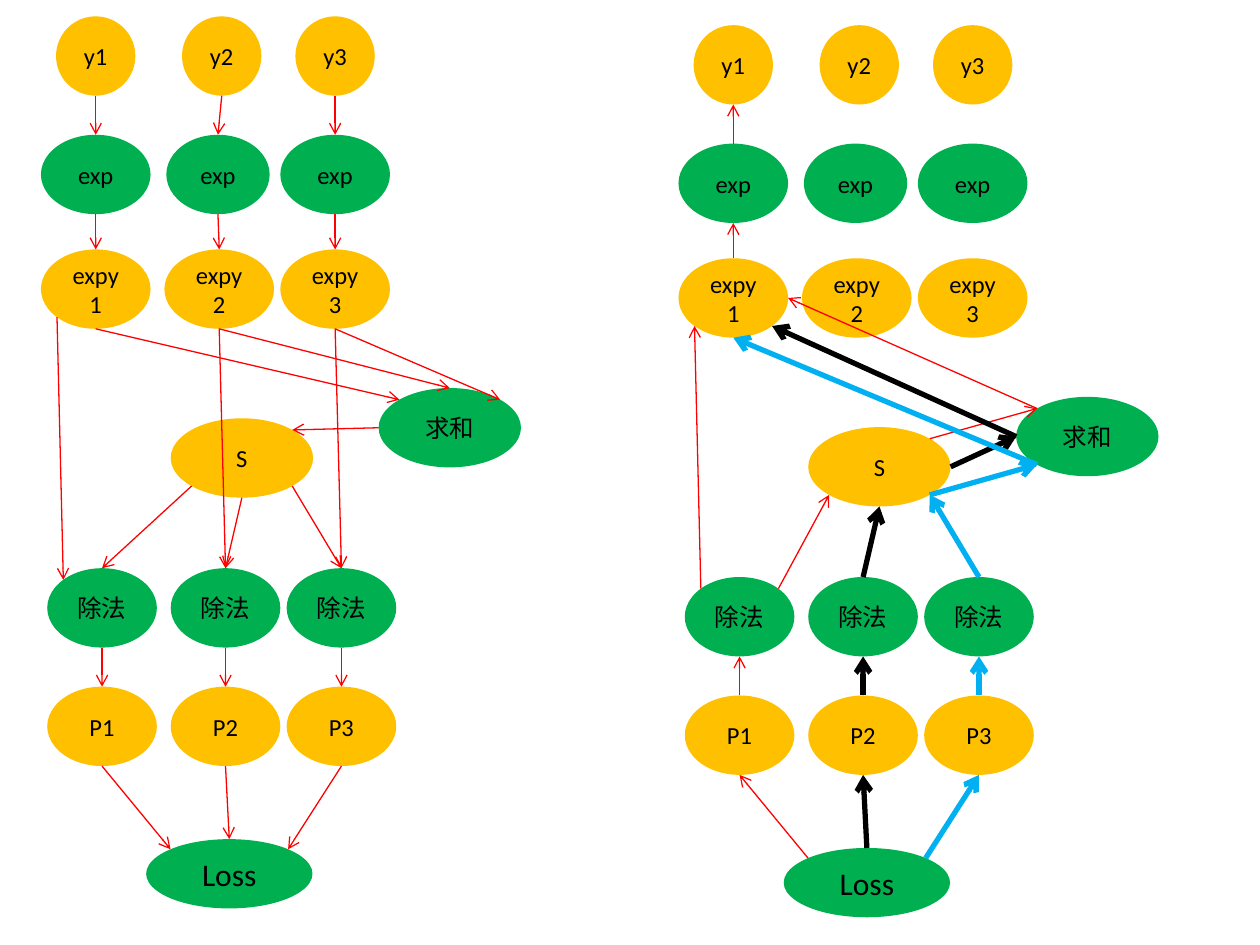
from lxml.etree import SubElement
from pptx import Presentation
from pptx.dml.color import RGBColor
from pptx.enum.shapes import MSO_CONNECTOR as LINE, MSO_SHAPE as SHAPE
from pptx.enum.text import MSO_ANCHOR as ANCHOR, PP_ALIGN as ALIGN
from pptx.oxml.ns import qn
from pptx.util import Inches, Pt

GREEN = RGBColor(0x00, 0xB0, 0x50)
AMBER = RGBColor(0xFF, 0xC0, 0x00)
RED = RGBColor(0xFF, 0x00, 0x00)
BLUE = RGBColor(0x00, 0xB0, 0xF0)
BLACK = RGBColor(0x00, 0x00, 0x00)

# Columns are node centres; rows are the tops of the node rows
COLUMNS = [0.76, 1.74, 2.66]
LOWER_SHIFT = 0.05
NODE_W, NODE_H = 0.87, 0.63
# key, label, row top, column shift, width, fill
ROWS = [
    ("y", "y{}", 0.13, 0, NODE_H, AMBER),
    ("exp", "exp", 1.07, 0, NODE_W, GREEN),
    ("expy", "expy{}", 1.98, 0, NODE_W, AMBER),
    ("div", "除法", 4.51, LOWER_SHIFT, NODE_W, GREEN),
    ("P", "P{}", 5.45, LOWER_SHIFT, NODE_W, AMBER),
]
# key, label, centre x, top, width, height, fill, text size
SINGLES = [
    ("sum", "求和", 3.57, 3.08, 1.13, NODE_H, GREEN, 14),
    ("S", "S", 1.92, 3.32, 1.13, NODE_H, AMBER, 14),
    ("Loss", "Loss", 1.82, 6.66, 1.32, 0.55, GREEN, 18),
]
# Second column sits slightly off centre in the two upper rows
NUDGES = {"y2": 0.02, "exp2": -0.01}
WIDTHS = {"exp2": 0.82}

# Each edge reads: from node, side, to node, side
FORWARD = [f"{a}{i} B {b}{i} T" for i in (1, 2, 3)
           for a, b in (("y", "exp"), ("exp", "expy"), ("div", "P"))]
FORWARD += [
    "expy1 B sum TL", "expy2 B sum T", "expy3 B sum TR", "sum L S TR",
    "S BL div1 T", "S B div2 T", "S BR div3 T",
    "expy1 BL div1 TL", "expy2 B div2 T", "expy3 B div3 T",
    "P1 B Loss TL", "P2 B Loss T", "P3 B Loss TR",
]
RED_BACK = ["Loss TL P1 B", "P1 T div1 B", "div1 TL expy1 BL", "div1 TR S BL",
            "S TR sum TL", "sum TL expy1 R", "expy1 T exp1 B", "exp1 T y1 B"]
BLACK_BACK = ["Loss T P2 B", "P2 T div2 B", "div2 T S B", "S R sum L",
              "sum L expy1 BR"]
BLUE_BACK = ["Loss TR P3 B", "P3 T div3 B", "div3 T S BR", "S BR sum BL",
             "sum BL expy1 B"]

# Panel offset, then its edge groups with colour and width
PANELS = [
    (0, 0, [(FORWARD, RED, 0.75)]),
    (5.06, 0.07, [(RED_BACK, RED, 0.75), (BLACK_BACK, BLACK, 3),
                  (BLUE_BACK, BLUE, 3)]),
]

prs = Presentation()
prs.slide_width, prs.slide_height = Inches(10), Inches(7.5)
slide = prs.slides.add_slide(prs.slide_layouts[6])


def add_node(label, centre, top, width, height, fill, size):
    node = slide.shapes.add_shape(
        SHAPE.OVAL, Inches(centre - width / 2), Inches(top),
        Inches(width), Inches(height))
    node.shadow.inherit = False
    node.fill.solid()
    node.fill.fore_color.rgb = fill
    node.line.fill.background()
    frame = node.text_frame
    frame.word_wrap = True
    frame.vertical_anchor = ANCHOR.MIDDLE
    text = frame.paragraphs[0]
    text.text = label
    text.alignment = ALIGN.CENTER
    text.font.name, text.font.size = "Calibri", Pt(size)
    text.font.color.rgb = BLACK
    return node


def rim_point(node, side):
    """Point on the oval's rim, such as T (top) or BL (bottom left)."""
    reach = 0.5 if len(side) == 1 else 0.5 * 0.5 ** 0.5
    across = ("R" in side) - ("L" in side)
    down = ("B" in side) - ("T" in side)
    return (int(node.left + node.width * (0.5 + across * reach)),
            int(node.top + node.height * (0.5 + down * reach)))


for dx, dy, edge_groups in PANELS:
    # Nodes
    nodes = {}
    for key, label, top, shift, width, fill in ROWS:
        for i, column in enumerate(COLUMNS, 1):
            name = f"{key}{i}"
            nodes[name] = add_node(
                label.format(i), dx + column + shift + NUDGES.get(name, 0),
                dy + top, WIDTHS.get(name, width), NODE_H, fill, 14)
    for key, label, centre, top, width, height, fill, size in SINGLES:
        nodes[key] = add_node(label, dx + centre, dy + top, width, height,
                              fill, size)

    # Arrows
    for edges, color, weight in edge_groups:
        for edge in edges:
            start, start_side, end, end_side = edge.split()
            arrow = slide.shapes.add_connector(
                LINE.STRAIGHT, *rim_point(nodes[start], start_side),
                *rim_point(nodes[end], end_side))
            arrow.line.color.rgb = color
            arrow.line.width = Pt(weight)
            SubElement(arrow.line._get_or_add_ln(), qn("a:tailEnd"), type="arrow")
            SubElement(arrow._element.spPr, qn("a:effectLst"))

prs.save("out.pptx")
